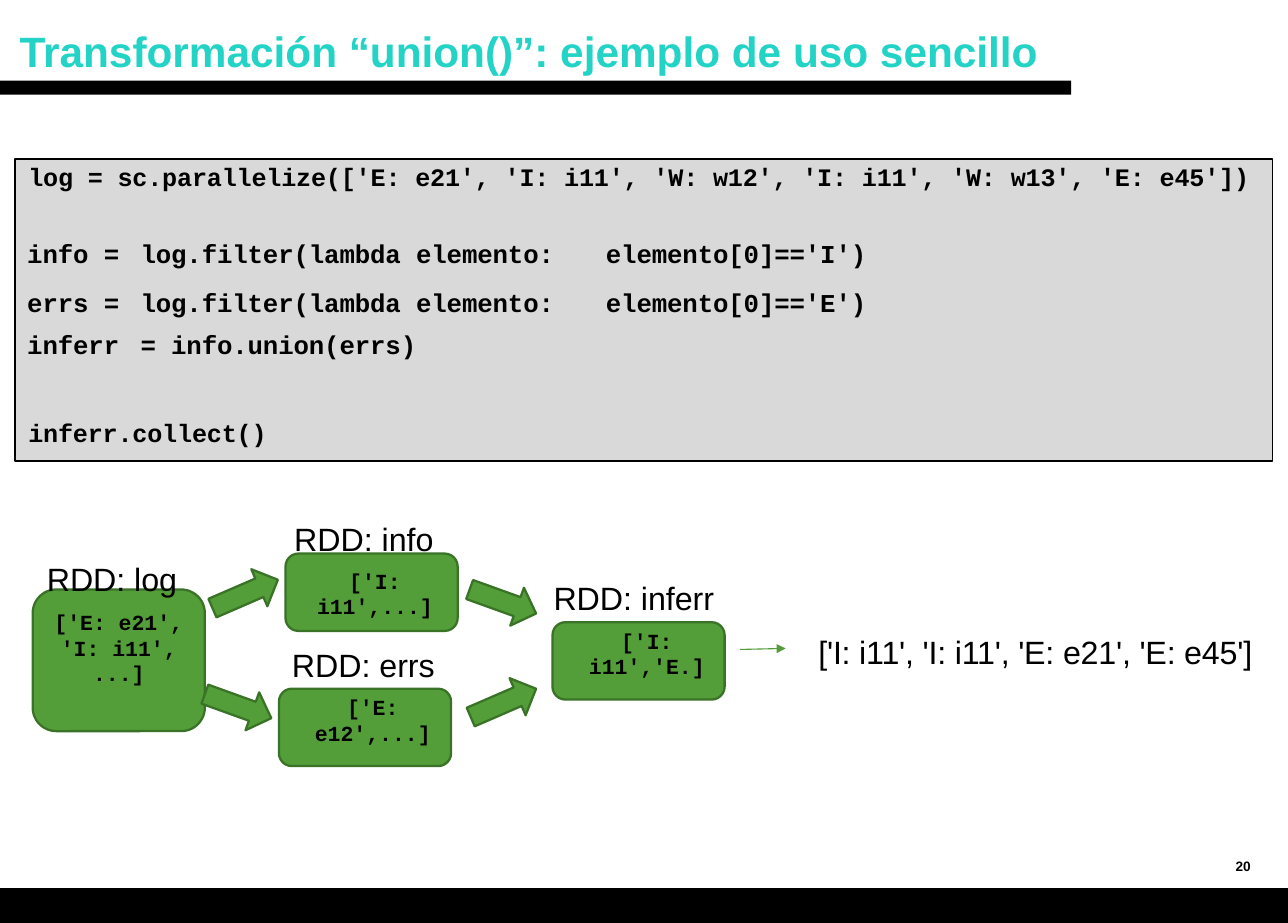
from math import atan2, degrees, hypot

from lxml.etree import SubElement
from pptx import Presentation
from pptx.dml.color import RGBColor
from pptx.enum.shapes import MSO_CONNECTOR, MSO_SHAPE
from pptx.enum.text import MSO_ANCHOR, PP_ALIGN
from pptx.oxml.ns import qn
from pptx.util import Inches, Pt

COLORS = {
    "title": "22D3C6",
    "black": "000000",
    "panel": "D9D9D9",
    "node": "539E39",
    "edge": "3A7327",
}
TITLE = {"name": "Arial", "size": Pt(28), "bold": True}
NUMBER = {"name": "Arial", "size": Pt(9), "bold": True}
LABEL = {"name": "Arial", "size": Pt(21.3), "bold": False}
CODE = {"name": "Courier New", "size": Pt(16.6), "bold": True}
TABLE_CODE = {"name": "Courier New", "size": Pt(17), "bold": True}
NODE_CODE = {"name": "Courier New", "size": Pt(14.2), "bold": True}
NO_TABLE_STYLE = "{2D5ABB26-0587-4C30-8999-92F81FD0307C}"


def rgb(color):
    return RGBColor.from_string(COLORS[color])


def set_values(target, values):
    for name, value in values.items():
        setattr(target, name, value)


def set_margins(target, left=0, top=0, right=0, bottom=0):
    set_values(target, {
        "margin_left": Inches(left), "margin_top": Inches(top),
        "margin_right": Inches(right), "margin_bottom": Inches(bottom),
    })


def write_lines(frame, lines, style, color="black", spacing=None, **layout):
    for index, line in enumerate(lines):
        para = frame.add_paragraph() if index else frame.paragraphs[0]
        set_values(para, layout)
        span = para.add_run()
        span.text = line
        set_values(span.font, style)
        span.font.color.rgb = rgb(color)
        if spacing is not None:
            span._r.get_or_add_rPr().set("spc", str(spacing))


def add_text(page, box, text, style, **options):
    shape = page.shapes.add_textbox(*map(Inches, box))
    frame = shape.text_frame
    frame.word_wrap = True
    set_margins(frame)
    write_lines(frame, [text], style, **options)
    return shape


def add_block(page, kind, box, fill, line=None, width=1.5):
    shape = page.shapes.add_shape(kind, *map(Inches, box))
    shape.shadow.inherit = False
    shape.fill.solid()
    shape.fill.fore_color.rgb = rgb(fill)
    if line:
        shape.line.color.rgb = rgb(line)
        shape.line.width = Pt(width)
    else:
        shape.line.fill.background()
    return shape


def add_header(page, box):
    left, top, width, height = box
    title = page.shapes.title
    set_values(title, {
        "left": Inches(left + 0.08), "top": Inches(top + 0.15),
        "width": Inches(10.08), "height": Inches(0.67),
    })
    frame = title.text_frame
    frame.word_wrap = True
    frame.vertical_anchor = MSO_ANCHOR.TOP
    set_margins(frame, left=0.1, top=0.08, right=0.1)
    write_lines(frame, ["Transformación “union()”: ejemplo de uso sencillo"],
                TITLE, "title", alignment=PP_ALIGN.LEFT)
    add_block(page, MSO_SHAPE.RECTANGLE, (left, top + height - 0.13, width, 0.13), "black")


def add_footer(page, box):
    left, top, width, height = box
    add_block(page, MSO_SHAPE.RECTANGLE, box, "black")
    number = add_text(page, (left + width - 0.48, top - 0.4, 0.36, 0.4), "20", NUMBER)
    number.text_frame.vertical_anchor = MSO_ANCHOR.MIDDLE


def add_filter_table(page, box):
    columns, heights = (1.01, 4.14, 2.63), (0.33, 0.39, 0.33)
    rows = (
        ("info =", "log.filter(lambda elemento:", "elemento[0]=='I')"),
        ("errs =", "log.filter(lambda elemento:", "elemento[0]=='E')"),
        ("inferr", "= info.union(errs)", ""),
    )
    table = page.shapes.add_table(len(rows), len(columns), *map(Inches, box)).table
    set_values(table, {"first_row": False, "horz_banding": False})
    table._tbl.tblPr.find(qn("a:tableStyleId")).text = NO_TABLE_STYLE
    for column, width in zip(table.columns, columns):
        column.width = Inches(width)
    for row_index, (row, height) in enumerate(zip(rows, heights)):
        table.rows[row_index].height = Inches(height)
        for column_index, text in enumerate(row):
            cell = table.cell(row_index, column_index)
            cell.fill.solid()
            cell.fill.fore_color.rgb = rgb("panel")
            set_margins(cell, left=(0.03, 0.06, 0)[column_index],
                        top=0.05 if row_index else 0,
                        right=0.05 if column_index == 2 else 0)
            align = PP_ALIGN.RIGHT if column_index == 2 else PP_ALIGN.LEFT
            leading = 1.0 if row_index else Pt(14.4)
            write_lines(cell.text_frame, [text] if text else [], TABLE_CODE,
                        spacing=-10, alignment=align, line_spacing=leading)


def add_code_panel(page, box):
    left, top, width, height = box
    add_block(page, MSO_SHAPE.RECTANGLE, box, "panel", "black", 1)
    lines = (
        (0.02, "log = sc.parallelize(['E: e21', 'I: i11', 'W: w12', "
               "'I: i11', 'W: w13', 'E: e45'])"),
        (2.37, "inferr.collect()"),
    )
    for offset, text in lines:
        add_text(page, (left + 0.12, top + offset, width - 0.14, 0.29), text, CODE, spacing=-10)
    add_filter_table(page, (left + 0.08, top + 0.83, 7.78, 1.05))


def add_node(page, box, label, label_offset, lines, insets):
    left, top, width, height = box
    node = add_block(page, MSO_SHAPE.ROUNDED_RECTANGLE, box, "node", "edge")
    frame = node.text_frame
    frame.word_wrap = True
    frame.vertical_anchor = MSO_ANCHOR.TOP
    set_margins(frame, left=insets[0] + 0.1, top=insets[1], right=0.1)
    write_lines(frame, lines, NODE_CODE, alignment=PP_ALIGN.CENTER, line_spacing=Pt(16.8))
    across, down = label_offset
    add_text(page, (left + across, top + down, 1.6, 0.34), label, LABEL)


def add_block_arrow(page, tail, tip):
    across, down = tip[0] - tail[0], tip[1] - tail[1]
    length, height = hypot(across, down), 0.37
    box = ((tail[0] + tip[0] - length) / 2, (tail[1] + tip[1] - height) / 2, length, height)
    arrow = add_block(page, MSO_SHAPE.RIGHT_ARROW, box, "node", "edge")
    arrow.rotation = degrees(atan2(down, across))


def add_result(page, box):
    left, top, width, height = box
    arrow = page.shapes.add_connector(
        MSO_CONNECTOR.STRAIGHT, Inches(left), Inches(top + 0.16),
        Inches(left + 0.42), Inches(top + 0.15))
    arrow.line.color.rgb = rgb("node")
    arrow.line.width = Pt(0.75)
    SubElement(arrow.line._get_or_add_ln(), qn("a:tailEnd"), type="triangle")
    SubElement(arrow._element.spPr, qn("a:effectLst"))
    add_text(page, (left + 0.72, top, width - 0.72, height),
             "['I: i11', 'I: i11', 'E: e21', 'E: e45']", LABEL, spacing=-10)


def add_flow(page, box):
    left, top, width, height = box
    nodes = (
        (0, 0.33, 1.3, "RDD: log", (0.13, -0.28),
         ("['E: e21',", "'I: i11',", "...]"), (0, 0.12)),
        (2.32, 0, 0.71, "RDD: info", (0.08, -0.31), ("['I: i11',...]",), (0.06, 0.1)),
        (2.26, 1.24, 0.71, "RDD: errs", (0.12, -0.4), ("['E: e12',...]",), (0.14, 0.02)),
        (4.77, 0.63, 0.71, "RDD: inferr", (0.01, -0.4), ("['I: i11','E.]",), (0.15, 0.02)),
    )
    for across, down, tall, *content in nodes:
        add_node(page, (left + across, top + down, 1.58, tall), *content)
    rise, fall = (0.6, -0.26), (0.61, 0.22)
    arrows = ((1.65, 0.5, rise), (1.58, 1.29, fall), (4.01, 0.33, fall), (4.02, 1.5, rise))
    for across, down, step in arrows:
        tail = (left + across, top + down)
        add_block_arrow(page, tail, (tail[0] + step[0], tail[1] + step[1]))
    add_result(page, (left + 6.49, top + 0.72, width - 6.49, 0.37))


def main():
    deck = Presentation()
    deck.slide_width, deck.slide_height = Inches(11.82), Inches(8.47)
    page = deck.slides.add_slide(deck.slide_layouts[5])
    add_header(page, (0, 0, 9.83, 0.87))
    add_code_panel(page, (0.14, 1.46, 11.54, 2.77))
    add_flow(page, (0.3, 5.08, 11.4, 1.95))
    add_footer(page, (0, 8.15, 11.82, 0.32))
    deck.save("out.pptx")


if __name__ == "__main__":
    main()
